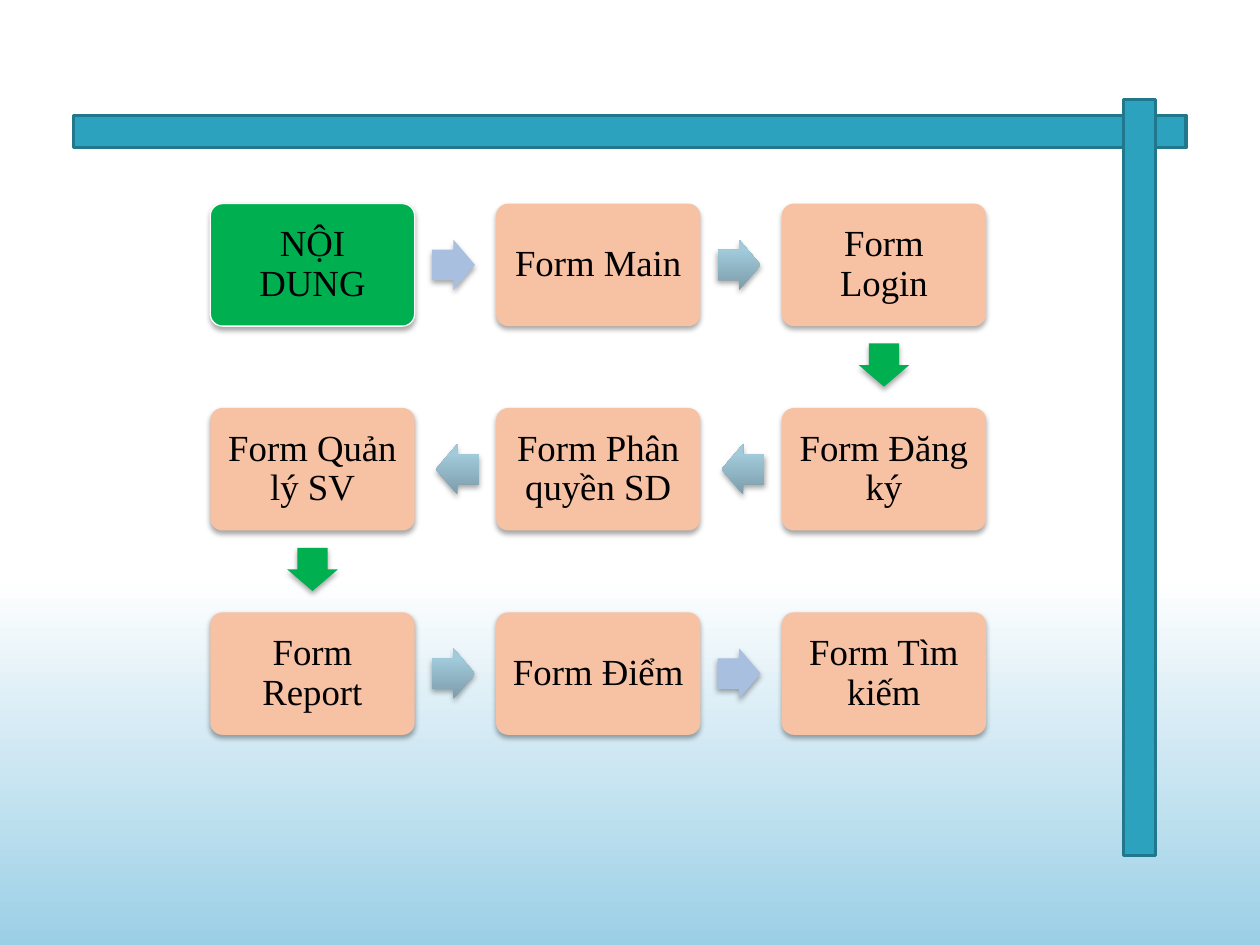
from lxml.etree import SubElement
from pptx import Presentation
from pptx.dml.color import RGBColor
from pptx.enum.shapes import MSO_SHAPE
from pptx.enum.text import MSO_ANCHOR, PP_ALIGN
from pptx.oxml.ns import qn
from pptx.util import Cm, Pt


def rgb(value):
    return RGBColor.from_string(value)


def set_gradient(fill, angle, stops):
    fill.gradient()
    fill.gradient_angle = angle
    for stop, (position, color) in zip(fill.gradient_stops, stops):
        stop.position = position
        stop.color.rgb = rgb(color)


class FlowSlide:
    frame_format = dict(word_wrap=True, vertical_anchor=MSO_ANCHOR.MIDDLE,
                        margin_left=Cm(0.23), margin_right=Cm(0.23),
                        margin_top=Cm(0.23), margin_bottom=Cm(0.23))
    paragraph_format = dict(alignment=PP_ALIGN.CENTER, line_spacing=0.9)
    font_format = dict(name="Times New Roman", size=Pt(21))
    text_color = "000000"
    steel = [(0, "7C9CA9"), (0.8, "A1CADB")]

    def __init__(self, prs):
        self.slide = prs.slides.add_slide(prs.slide_layouts[6])
        set_gradient(self.slide.background.fill, 270,
                     [(0.61, "FFFFFF"), (1, "9BCFE6")])

    def apply(self, target, values):
        for name, value in values.items():
            setattr(target, name, value)

    def shape(self, kind, x, y, w, h, fill, line=None, line_width=0.75):
        sp = self.slide.shapes.add_shape(kind, Cm(x), Cm(y), Cm(w), Cm(h))
        sp.shadow.inherit = False
        if isinstance(fill, str):
            sp.fill.solid()
            sp.fill.fore_color.rgb = rgb(fill)
        else:
            set_gradient(sp.fill, 90, fill)
            sp._element.spPr.find(qn("a:gradFill")).set("rotWithShape", "0")
        if line:
            sp.line.color.rgb = rgb(line)
            sp.line.width = Pt(line_width)
        else:
            sp.line.fill.background()
        return sp

    def cast_shadow(self, sp):
        effects = sp._element.spPr.find(qn("a:effectLst"))
        shadow = SubElement(effects, qn("a:outerShdw"), blurRad="40000",
                            dist="23000", dir="5400000", rotWithShape="0")
        color = SubElement(shadow, qn("a:srgbClr"), val="000000")
        SubElement(color, qn("a:alpha"), val="35000")

    def bar(self, x, y, w, h):
        self.shape(MSO_SHAPE.RECTANGLE, x, y, w, h, "2DA2BF", "21788D", 2)

    def box(self, text, cx, cy, w, h, fill, line=None):
        sp = self.shape(MSO_SHAPE.ROUNDED_RECTANGLE, cx - w / 2, cy - h / 2,
                        w, h, fill, line)
        sp.adjustments[0] = 0.1
        self.cast_shadow(sp)
        tf = sp.text_frame
        self.apply(tf, self.frame_format)
        p = tf.paragraphs[0]
        self.apply(p, self.paragraph_format)
        r = p.add_run()
        r.text = text
        self.apply(r.font, self.font_format)
        r.font.color.rgb = rgb(self.text_color)

    def arrow(self, cx, cy, rotation, fill):
        w, h = 0.87, 1.02
        sp = self.shape(MSO_SHAPE.RIGHT_ARROW, cx - w / 2, cy - h / 2, w, h, fill)
        sp.adjustments[0], sp.adjustments[1] = 0.6, 0.5
        sp.rotation = rotation
        self.cast_shadow(sp)


prs = Presentation()
prs.slide_width, prs.slide_height = Cm(25.4), Cm(19.05)
s = FlowSlide(prs)

s.bar(1.48, 2.33, 22.43, 0.65)
s.bar(22.65, 2.01, 0.65, 15.24)

green, peach, blue = "00B050", "F7C1A4", "A8BFDF"
steps = ["NỘI DUNG", "Form Main", "Form Login",
         "Form Đăng ký", "Form Phân quyền SD", "Form Quản lý SV",
         "Form Report", "Form Điểm", "Form Tìm kiếm"]
arrow_fills = [blue, s.steel, green, s.steel, s.steel, green, s.steel, blue]
rotations = {(1, 0): 0, (0, 1): 90, (-1, 0): 180}

columns = 3
box_w, box_h = 4.12, 2.47
first_cx, first_cy = 6.3, 5.34
pitch_x, pitch_y = 5.76, 4.12
arrow_shift = 0.04

cells = []
for i in range(len(steps)):
    row, col = divmod(i, columns)
    cells.append((columns - 1 - col if row % 2 else col, row))

for i, (text, (col, row)) in enumerate(zip(steps, cells)):
    cx, cy = first_cx + col * pitch_x, first_cy + row * pitch_y
    s.box(text, cx, cy, box_w, box_h, peach if i else green,
          None if i else "FFFFFF")
    if i < len(arrow_fills):
        dx, dy = cells[i + 1][0] - col, cells[i + 1][1] - row
        s.arrow(cx + dx * (pitch_x / 2 - arrow_shift),
                cy + dy * (pitch_y / 2 - arrow_shift),
                rotations[dx, dy], arrow_fills[i])

prs.save("out.pptx")
